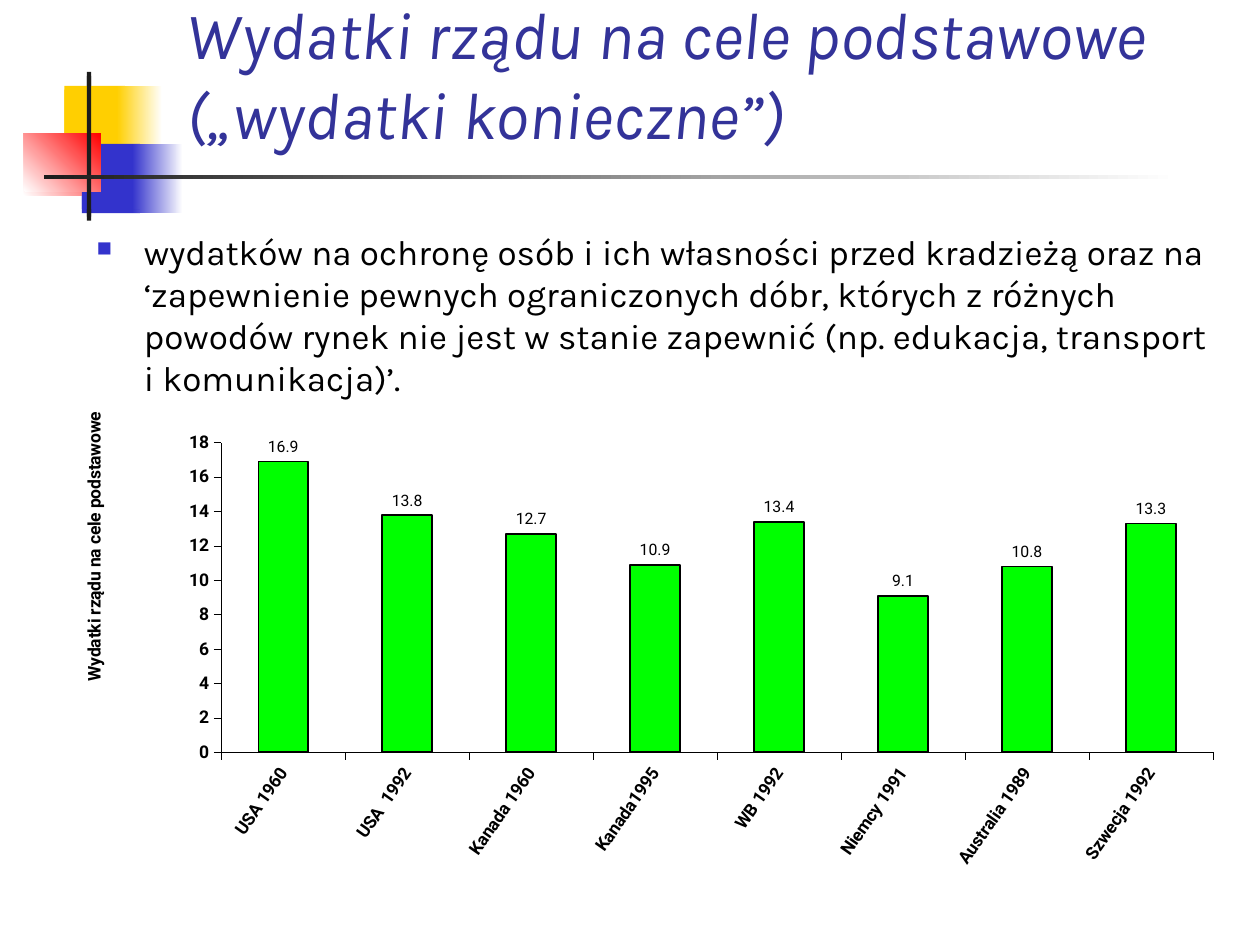
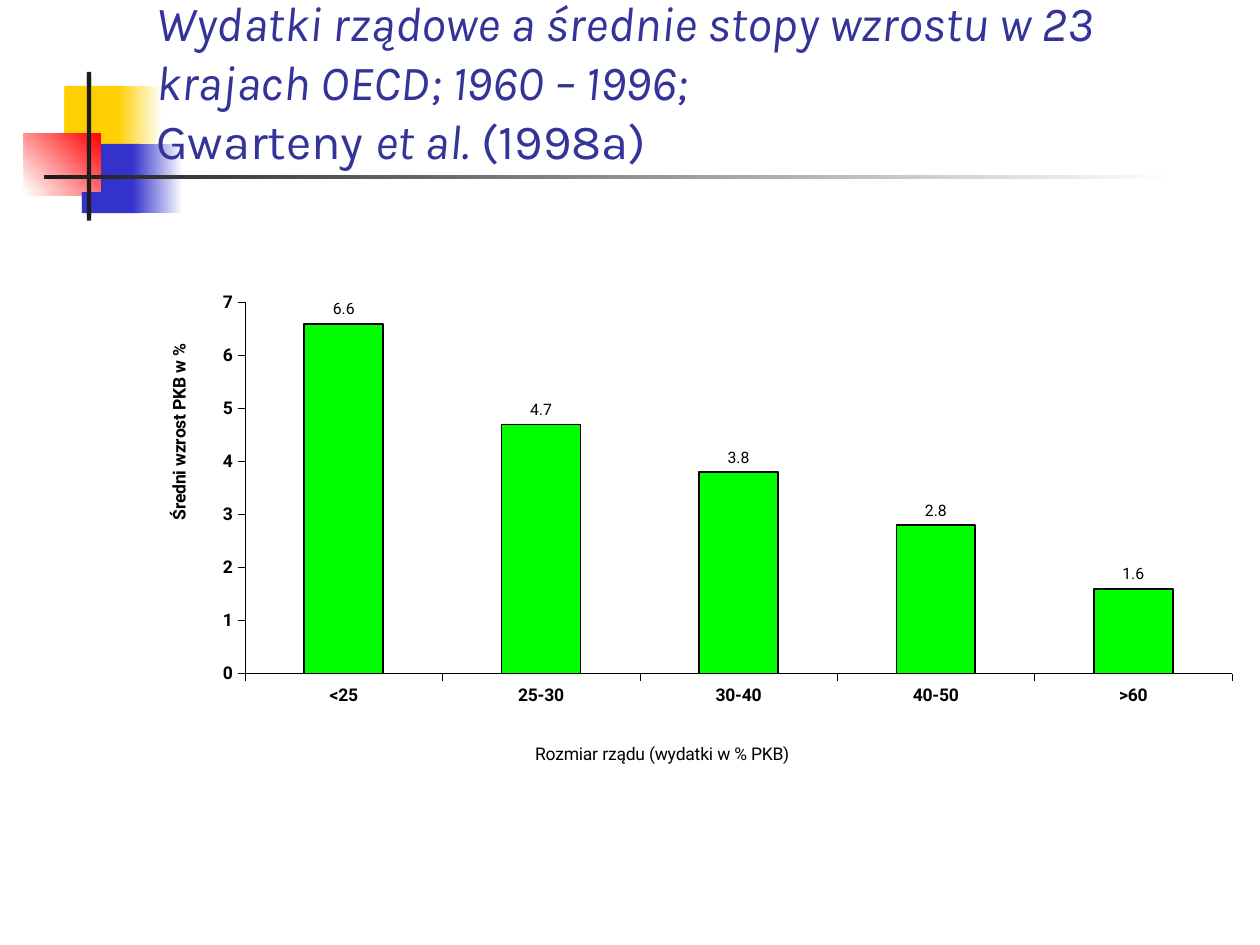
import lxml.etree
import pptx
import pptx.chart.data
import pptx.dml.color
import pptx.enum.chart
import pptx.enum.shapes
import pptx.enum.text
import pptx.oxml.ns
import pptx.util

Cm = pptx.util.Cm
Pt = pptx.util.Pt
RGBColor = pptx.dml.color.RGBColor
qn = pptx.oxml.ns.qn

WHITE = RGBColor(0xFF, 0xFF, 0xFF)
BLACK = RGBColor(0x00, 0x00, 0x00)
YELLOW = RGBColor(0xFF, 0xCF, 0x01)
BLUE = RGBColor(0x33, 0x33, 0xCC)
RED = RGBColor(0xFF, 0x00, 0x00)
CHARCOAL = RGBColor(0x1C, 0x1C, 0x1C)
TITLE_BLUE = RGBColor(0x33, 0x33, 0x99)
GREEN = RGBColor(0x00, 0xFF, 0x00)

TEXT_FONT = "Karla"
CHART_FONT = "Roboto"

MOTIF = [
    ((1.3, 1.73, 1.22, 1.32), [YELLOW], 0),
    ((2.36, 1.73, 0.91, 1.32), [YELLOW, WHITE], 0),
    ((1.65, 2.9, 1.17, 1.32), [BLUE], 0),
    ((2.67, 2.9, 1.02, 1.32), [BLUE, WHITE], 0),
    ((0.48, 2.69, 1.55, 1.17), [WHITE, RED], 45),
    ((1.75, 1.45, 0.09, 2.92), [CHARCOAL], 0),
]


def style_font(font, name=CHART_FONT, size=10, color=BLACK, bold=False, italic=False):
    font.name = name
    font.size = Pt(size)
    font.color.rgb = color
    font.bold = bold
    font.italic = italic


def write(paragraph, text, **text_format):
    run = paragraph.add_run()
    run.text = text
    style_font(run.font, **text_format)


def place_manually(layout, **values):
    manual = lxml.etree.SubElement(layout, qn("c:manualLayout"))
    for name, value in values.items():
        lxml.etree.SubElement(manual, qn(f"c:{name}"), val=str(value))


class Deck:
    def __init__(self):
        self.presentation = pptx.Presentation()
        self.presentation.slide_width = Cm(25.4)
        self.presentation.slide_height = Cm(19.05)
        self.slide = None

    def add_slide(self):
        self.slide = self.presentation.slides.add_slide(self.presentation.slide_layouts[6])
        for drop in (0.08, 0):
            for (left, top, width, height), colors, angle in MOTIF:
                self.add_block((left, top + drop, width, height), colors, angle)
        self.add_block((0.89, 3.53, 22.86, 0.08), [CHARCOAL, WHITE])

    def add_block(self, box, colors, angle=0):
        rectangle = pptx.enum.shapes.MSO_SHAPE.RECTANGLE
        shape = self.slide.shapes.add_shape(rectangle, *map(Cm, box))
        shape.shadow.inherit = False
        shape.line.fill.background()
        if len(colors) == 1:
            shape.fill.solid()
            shape.fill.fore_color.rgb = colors[0]
            return
        shape.fill.gradient()
        shape.fill.gradient_angle = angle
        for stop, color in zip(shape.fill.gradient_stops, colors):
            stop.color.rgb = color

    def add_text_frame(self, box):
        text_frame = self.slide.shapes.add_textbox(*map(Cm, box)).text_frame
        text_frame.word_wrap = True
        return text_frame

    def add_title(self, box, size, lines):
        text_frame = self.add_text_frame(box)
        text_frame.vertical_anchor = pptx.enum.text.MSO_ANCHOR.BOTTOM
        paragraph = text_frame.paragraphs[0]
        for index, line in enumerate(lines):
            if index:
                paragraph.add_line_break()
            for text, italic in line:
                write(paragraph, text, name=TEXT_FONT, size=size, color=TITLE_BLUE, italic=italic)

    def add_bullet(self, box, text):
        paragraph = self.add_text_frame(box).paragraphs[0]
        paragraph.space_before = Pt(4)
        properties = paragraph._p.get_or_add_pPr()
        properties.set("marL", str(Cm(0.95)))
        properties.set("indent", str(-Cm(0.95)))
        bullet_color = lxml.etree.SubElement(properties, qn("a:buClr"))
        lxml.etree.SubElement(bullet_color, qn("a:srgbClr"), val=str(BLUE))
        lxml.etree.SubElement(properties, qn("a:buSzPct"), val="60000")
        lxml.etree.SubElement(properties, qn("a:buChar"), char="■")
        write(paragraph, text, name=TEXT_FONT, size=20)

    def add_column_chart(self, box, values_by_category, plot_area, maximum, step):
        data = pptx.chart.data.CategoryChartData(number_format="0.0")
        data.categories = list(values_by_category)
        data.add_series("Series 1", list(values_by_category.values()))
        kind = pptx.enum.chart.XL_CHART_TYPE.COLUMN_CLUSTERED
        chart = self.slide.shapes.add_chart(kind, *map(Cm, box), data).chart
        chart.has_title = False
        chart.has_legend = False
        style_font(chart.font, size=12, bold=True)

        area = chart._chartSpace.find(".//" + qn("c:plotArea"))
        layout = area.find(qn("c:layout"))
        if layout is None:
            layout = lxml.etree.Element(qn("c:layout"))
            area.insert(0, layout)
        x, y, width, height = plot_area
        place_manually(layout, layoutTarget="inner", xMode="edge", yMode="edge",
                       x=x, y=y, w=width, h=height)

        for axis in (chart.category_axis, chart.value_axis):
            axis.has_major_gridlines = False
            axis.major_tick_mark = pptx.enum.chart.XL_TICK_MARK.OUTSIDE
            axis.format.line.color.rgb = BLACK
            axis.format.line.width = Pt(0.25)
            style_font(axis.tick_labels.font, bold=axis is not chart.category_axis)
        style_font(chart.value_axis.tick_labels.font, bold=True)
        chart.value_axis.minimum_scale = 0
        chart.value_axis.maximum_scale = maximum
        chart.value_axis.major_unit = step
        chart.value_axis.tick_labels.number_format = "General"
        chart.value_axis.tick_labels.number_format_is_linked = False

        plot = chart.plots[0]
        plot.gap_width = 150
        plot.vary_by_categories = False
        series = plot.series[0]
        series.format.fill.solid()
        series.format.fill.fore_color.rgb = GREEN
        series.format.line.color.rgb = BLACK
        series.format.line.width = Pt(1)
        labels = series.data_labels
        labels.show_value = True
        labels.position = pptx.enum.chart.XL_LABEL_POSITION.OUTSIDE_END
        style_font(labels.font, size=9)
        return chart

    def add_axis_title(self, axis, text, x, y, rotation=0, bold=False):
        title = axis.axis_title
        write(title.text_frame.paragraphs[0], text, bold=bold)
        body = title._element.find(".//" + qn("a:bodyPr"))
        body.set("rot", str(rotation * 60000))
        body.set("vert", "horz")
        place_manually(title._element.find(qn("c:layout")), xMode="edge", yMode="edge", x=x, y=y)

    def rotate_labels(self, axis, degrees):
        body = axis._element.find(qn("c:txPr")).find(qn("a:bodyPr"))
        body.set("rot", str(degrees * 60000))
        body.set("vert", "horz")


def add_basic_spending_slide(deck):
    deck.add_slide()
    deck.add_title((3.51, 1.52, 21.46, 1.68), 38,
                   [[("Wydatki rządu na cele podstawowe („wydatki konieczne”)", True)]])
    deck.add_bullet(
        (1.7, 4.52, 23.16, 12.9),
        "wydatków na ochronę osób i ich własności przed kradzieżą oraz na "
        "‘zapewnienie pewnych ograniczonych dóbr, których z różnych powodów rynek "
        "nie jest w stanie zapewnić (np. edukacja, transport i komunikacja)’.")
    spending = {
        "USA 1960": 16.9, "USA  1992": 13.8, "Kanada 1960": 12.7, "Kanada1995": 10.9,
        "WB 1992": 13.4, "Niemcy 1991": 9.1, "Australia 1989": 10.8, "Szwecja 1992": 13.3,
    }
    chart = deck.add_column_chart((0.89, 8.13, 23.8, 11.35), spending,
                                  (0.15, 0.07, 0.84, 0.55), maximum=18, step=2)
    deck.rotate_labels(chart.category_axis, -55)
    deck.add_axis_title(chart.value_axis, "Wydatki rządu na cele podstawowe",
                        0.03, 0.01, rotation=-90, bold=True)


def add_growth_slide(deck):
    deck.add_slide()
    deck.add_title((2.9, 0.33, 22.43, 3.2), 28, [
        [("Wydatki rządowe a średnie stopy wzrostu w 23 krajach OECD; 1960 – 1996;", True)],
        [("Gwarteny ", False), ("et al.", True), (" (1998a)", False)],
    ])
    growth = {"<25": 6.6, "25-30": 4.7, "30-40": 3.8, "40-50": 2.8, ">60": 1.6}
    chart = deck.add_column_chart((1.7, 5.33, 23.14, 11), growth,
                                  (0.14, 0.07, 0.86, 0.68), maximum=7, step=1)
    deck.add_axis_title(chart.category_axis, "Rozmiar rządu (wydatki w % PKB)", 0.39, 0.87)
    deck.add_axis_title(chart.value_axis, "Średni wzrost PKB w %",
                        0.07, 0.14, rotation=-90, bold=True)


def main():
    deck = Deck()
    add_basic_spending_slide(deck)
    add_growth_slide(deck)
    deck.presentation.save("out.pptx")


if __name__ == "__main__":
    main()
